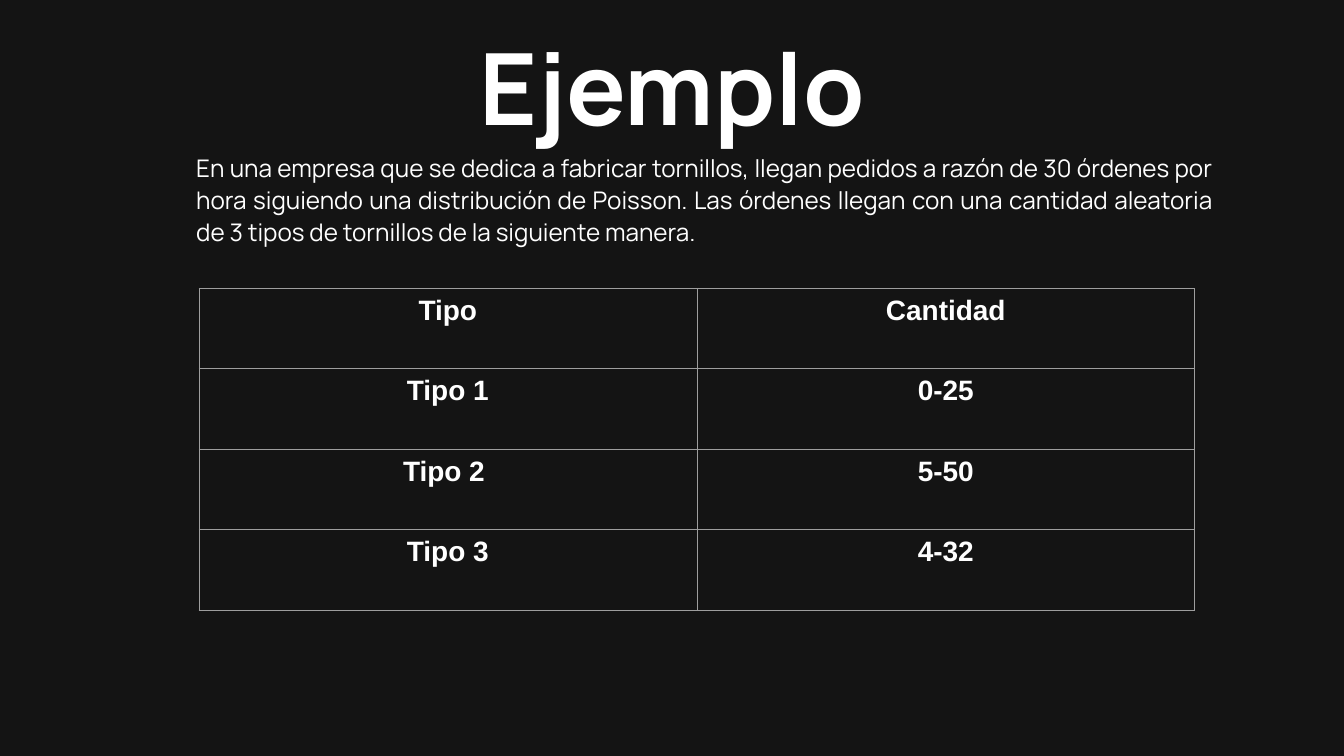
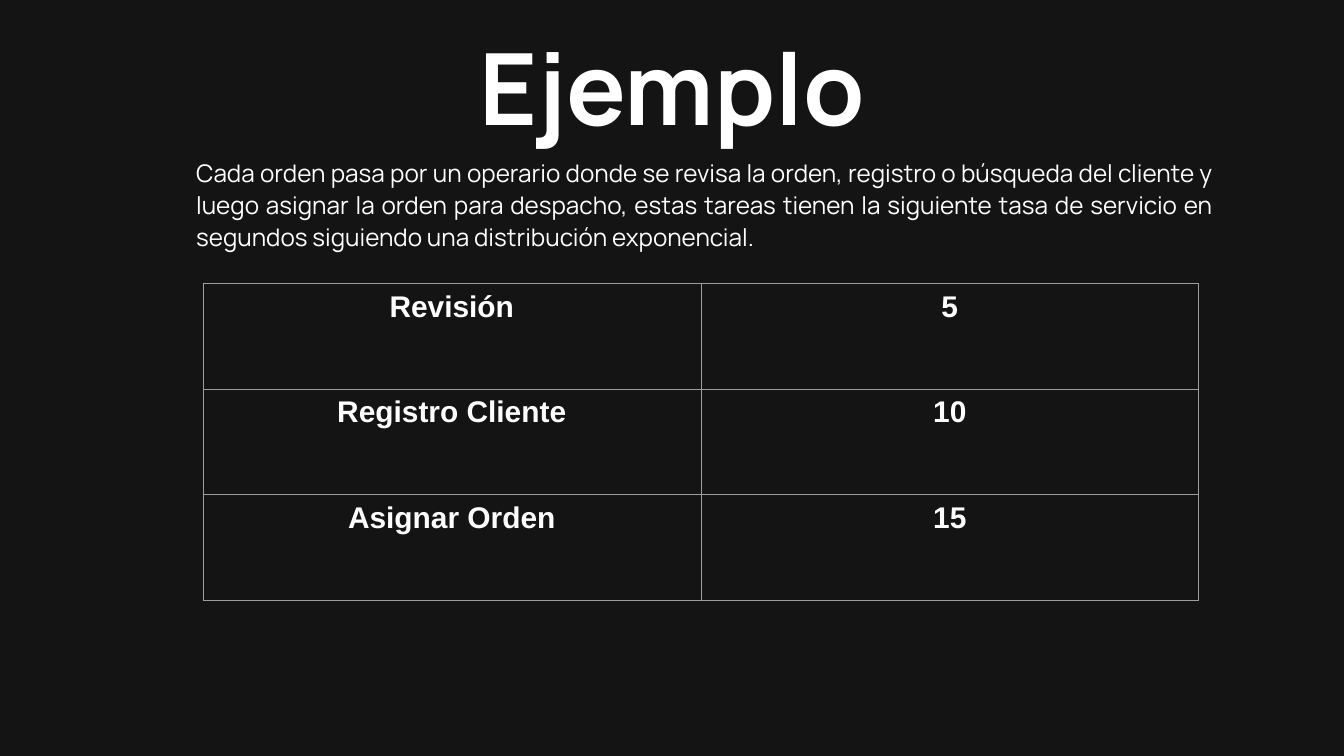
import pptx
import pptx.dml.color
import pptx.enum.text
import pptx.oxml
import pptx.oxml.ns
import pptx.util
from lxml import etree

Pt = pptx.util.Pt
ALIGN = pptx.enum.text.PP_ALIGN
BACKGROUND, WHITE, GRID = "141414", "FFFFFF", "9E9E9E"
BODY_FONT, TABLE_FONT = "Manrope", "Arial"
COLUMN_WIDTH = 533.5
CELL_MARGIN = 7.2
BORDER_WIDTH = 0.75


def color(value):
    return pptx.dml.color.RGBColor.from_string(value)


def style(paragraph, font_name, size, bold, alignment):
    paragraph.alignment = alignment
    paragraph.font.name = font_name
    paragraph.font.size = Pt(size)
    paragraph.font.bold = bold
    paragraph.font.color.rgb = color(WHITE)


def add_text(slide, box, text, size, bold, alignment, indent=0):
    frame = slide.shapes.add_textbox(*map(Pt, box)).text_frame
    frame.word_wrap = True
    frame.auto_size = pptx.enum.text.MSO_AUTO_SIZE.SHAPE_TO_FIT_TEXT
    frame.margin_left = frame.margin_top = frame.margin_right = frame.margin_bottom = 0
    paragraph = frame.paragraphs[0]
    paragraph.text = text
    paragraph.line_spacing = 1.1
    if indent:
        properties = paragraph._p.get_or_add_pPr()
        properties.set("marL", str(Pt(indent)))
        properties.set("indent", "0")
    style(paragraph, BODY_FONT, size, bold, alignment)


def add_borders(cell):
    properties = cell._tc.get_or_add_tcPr()
    qn = pptx.oxml.ns.qn
    for side in ("a:lnL", "a:lnR", "a:lnT", "a:lnB"):
        line = etree.SubElement(properties, qn(side), w=str(Pt(BORDER_WIDTH)))
        fill = etree.SubElement(line, qn("a:solidFill"))
        etree.SubElement(fill, qn("a:srgbClr"), val=GRID)


def add_grid(slide, left, top, row_height, size, rows):
    columns = len(rows[0])
    table = slide.shapes.add_table(
        len(rows), columns, Pt(left), Pt(top),
        Pt(COLUMN_WIDTH * columns), Pt(row_height * len(rows))).table
    table.first_row = table.horz_banding = False
    for column in table.columns:
        column.width = Pt(COLUMN_WIDTH)
    for row, values in zip(table.rows, rows):
        row.height = Pt(row_height)
        for cell, value in zip(row.cells, values):
            add_borders(cell)
            cell.fill.background()
            cell.margin_left = cell.margin_right = Pt(CELL_MARGIN)
            cell.margin_top = cell.margin_bottom = Pt(CELL_MARGIN)
            cell.text = value
            style(cell.text_frame.paragraphs[0], TABLE_FONT, size, True, ALIGN.CENTER)


def add_example_slide(deck, title_height, statement_top, statement, grid):
    slide = deck.slides.add_slide(deck.slide_layouts[6])
    slide.background.fill.solid()
    slide.background.fill.fore_color.rgb = color(BACKGROUND)
    add_text(slide, (117.4, 15.1, 1206, title_height), "Ejemplo", 106.7, True, ALIGN.CENTER)
    add_text(slide, (138.2, statement_top, 1162.8, 100.8), statement, 26, False,
             ALIGN.JUSTIFY, indent=72)
    add_grid(slide, **grid)


def main():
    deck = pptx.Presentation()
    deck.slide_width, deck.slide_height = Pt(1440), Pt(810)
    add_example_slide(
        deck, 120.2, 161.3,
        "En una empresa que se dedica a fabricar tornillos, llegan pedidos a razón de "
        "30 órdenes por hora siguiendo una distribución de Poisson. Las órdenes llegan "
        "con una cantidad aleatoria de 3 tipos de tornillos de la siguiente manera.",
        dict(left=213.1, top=308.9, row_height=86.2, size=30, rows=[
            ("Tipo", "Cantidad"),
            ("Tipo 1", "0-25"),
            ("Tipo 2 ", "5-50"),
            ("Tipo 3", "4-32"),
        ]))
    add_example_slide(
        deck, 129.6, 166.3,
        "Cada orden pasa por un operario donde se revisa la orden, registro o búsqueda "
        "del cliente y luego asignar la orden para despacho, estas tareas tienen la "
        "siguiente tasa de servicio en segundos siguiendo una distribución exponencial.",
        dict(left=217.4, top=303.8, row_height=113, size=32, rows=[
            ("Revisión", "5"),
            ("Registro Cliente", "10"),
            ("Asignar Orden", "15"),
        ]))
    deck.save("out.pptx")


if __name__ == "__main__":
    main()
